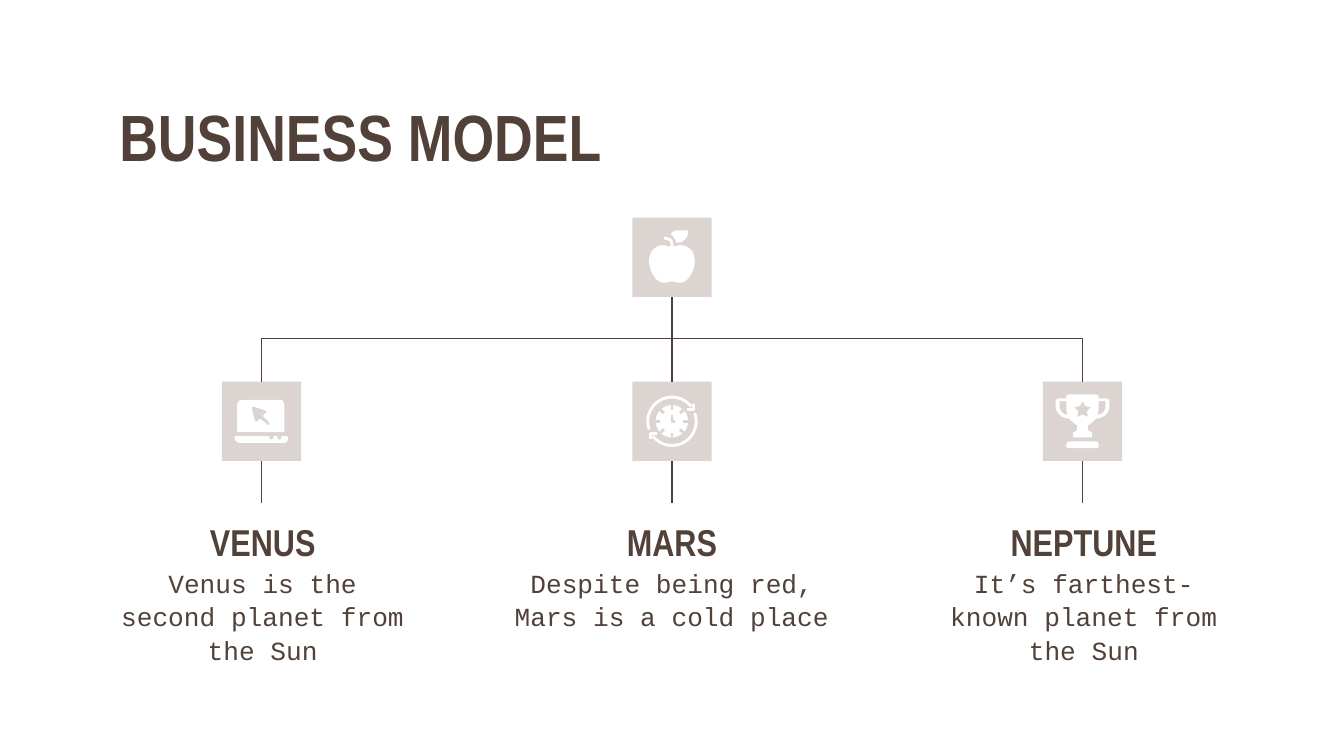
from math import cos, radians, sin

from lxml.etree import SubElement
from pptx import Presentation
from pptx.dml.color import RGBColor
from pptx.enum.shapes import MSO_CONNECTOR as Connector, MSO_SHAPE as Shape
from pptx.enum.text import MSO_ANCHOR as Anchor, PP_ALIGN as Align
from pptx.oxml.ns import qn
from pptx.util import Inches, Pt

BROWN, TILE, WHITE = "514138", "DBD4D1", "FFFFFF"
HEADING_FONT, BODY_FONT = "Arial Narrow", "Courier New"

TILE_SIZE = 5.9
ROOT_X, ROOT_Y = 50, 19.15
BUS_Y, BRANCH_Y, STEM_END = 25.2, 31.35, 37.4


def color(hex_code):
    return RGBColor.from_string(hex_code)


def trace(*steps):
    """Turn points (x, y) and cubic curves (x1, y1, x2, y2, x, y) into a list of points."""
    points = []
    for step in steps:
        if len(step) == 2:
            points.append(step)
            continue
        corners = (points[-1], step[:2], step[2:4], step[4:])
        for i in range(1, 9):
            t = i / 8
            weights = ((1 - t) ** 3, 3 * t * (1 - t) ** 2, 3 * t * t * (1 - t), t ** 3)
            points.append(tuple(sum(w * c[axis] for w, c in zip(weights, corners))
                                for axis in (0, 1)))
    return points


def polar(radius, degrees, y=0):
    return radius * cos(radians(degrees)), y + radius * sin(radians(degrees))


def mirror(points):
    return [(-x, y) for x, y in reversed(points)]


class Deck:
    """Lengths are cells of a grid with 100 columns; icon points are tenths of a cell."""

    def __init__(self):
        self.show = Presentation()
        self.show.slide_width, self.show.slide_height = Inches(10), Inches(5.625)
        self.slide = self.show.slides.add_slide(self.show.slide_layouts[6])
        self.shapes = self.slide.shapes
        self.cell = self.show.slide_width / 100

    def grid(self, *lengths):
        return [round(length * self.cell) for length in lengths]

    def paint(self, shape, fill=None, line=None, width=1.5):
        shape.shadow.inherit = False
        if fill:
            shape.fill.solid()
            shape.fill.fore_color.rgb = color(fill)
        else:
            shape.fill.background()
        if line:
            shape.line.color.rgb = color(line)
            shape.line.width = Pt(width)
        else:
            shape.line.fill.background()

    def tile(self, x, y):
        corner = x - TILE_SIZE / 2, y - TILE_SIZE / 2
        box = self.grid(*corner, TILE_SIZE, TILE_SIZE)
        self.paint(self.shapes.add_shape(Shape.RECTANGLE, *box), TILE)

    def link(self, start, end, elbow=False):
        kind = Connector.ELBOW if elbow else Connector.STRAIGHT
        line = self.shapes.add_connector(kind, *self.grid(*start, *end))
        line.line.color.rgb = color(BROWN)
        line.line.width = Pt(0.75)
        properties = line._element.spPr
        SubElement(properties, qn("a:effectLst"))
        if elbow:  # the bend sits above the end point
            geometry = properties.find(qn("a:prstGeom"))
            adjustments = geometry.find(qn("a:avLst"))
            if adjustments is None:
                adjustments = SubElement(geometry, qn("a:avLst"))
            SubElement(adjustments, qn("a:gd"), name="adj1", fmla="val 100000")

    def outline(self, center, contours, closed=True, **paint):
        placed = [[self.grid(center[0] + x / 10, center[1] + y / 10) for x, y in contour]
                  for contour in contours]
        builder = self.shapes.build_freeform(*placed[0][0], scale=1.0)
        for number, contour in enumerate(placed):
            if number:
                builder.move_to(*contour[0])
            builder.add_line_segments(contour[1:], close=closed)
        self.paint(builder.convert_to_shape(), **paint)

    def text(self, words, box, size, font=HEADING_FONT, bold=True, align=Align.CENTER,
             anchor=Anchor.TOP, spacing=1.06):
        frame = self.shapes.add_textbox(*self.grid(*box)).text_frame
        frame.word_wrap = True
        frame.vertical_anchor = anchor
        frame.margin_left = frame.margin_right = Inches(0.1)
        frame.margin_top = frame.margin_bottom = Inches(0.1)
        paragraph = frame.paragraphs[0]
        paragraph.alignment, paragraph.line_spacing = align, spacing
        run = paragraph.add_run()
        run.text = words
        run.font.name, run.font.size, run.font.bold = font, Pt(size), bold
        run.font.color.rgb = color(BROWN)


def draw_apple(deck, center):
    leaf = trace((4, -20), (2, -20, 0, -19, -1, -17), (1, -16, 3, -13, 3, -11), (4, -11),
                 (9, -11, 12, -15, 12, -19), (12, -20))
    fruit = trace((-5, -15), (-6, -15, -6, -15, -6, -14), (-6, -14, -5, -13, -5, -13),
                  (-3, -13, -1, -12, -1, -10), (-1, -8), (-3, -8, -4, -9, -6, -9),
                  (-13, -9, -17, -4, -17, 3), (-17, 10, -12, 19, -6, 19),
                  (-4, 19, -2, 18, 0, 18), (2, 18, 4, 19, 6, 19),
                  (12, 19, 17, 10, 17, 3), (17, -4, 13, -9, 6, -9),
                  (4, -9, 2, -8, 1, -8), (1, -10), (1, -13, -1, -15, -5, -15))
    for part in (leaf, fruit):
        deck.outline(center, [part], fill=WHITE)


def draw_laptop(deck, center):
    base = trace((-19, 11), (-20, 12), (-20, 14, -18, 16, -16, 16), (17, 16),
                 (19, 16, 20, 14, 20, 12), (19, 11), (15, 11), (15, 12),
                 (15, 14, 12, 14, 12, 12), (12, 11), (9, 11), (9, 12),
                 (9, 14, 6, 14, 6, 12), (6, 11))
    screen = trace((-14, -16), (-17, -16, -18, -14, -18, -12), (-18, 8), (17, 8),
                   (17, -12), (17, -14, 16, -16, 14, -16))
    pointer = trace((-6, -11), (3, -8), (4, -8, 4, -6, 3, -6), (1, -4), (6, 1),
                    (6, 2, 6, 3, 5, 3), (4, 2), (-1, -2), (-3, 0), (-4, 0, -5, 0, -5, -1),
                    (-7, -9), (-7, -10, -7, -11, -6, -11))
    deck.outline(center, [base], fill=WHITE)
    deck.outline(center, [screen, pointer], fill=WHITE)


def draw_clock(deck, center):
    arc = [polar(18, degrees) for degrees in range(-20, 145, 6)]
    arrowhead = [(-11, 9), (-16, 9), (-16, 13)]
    for turn in (1, -1):
        arrow = [[(turn * x, turn * y) for x, y in part] for part in (arc, arrowhead)]
        deck.outline(center, arrow, closed=False, line=WHITE)
    deck.outline(center, [[polar(12, degrees) for degrees in range(0, 360, 6)]], fill=WHITE)
    ticks = [[polar(8.5, degrees), polar(12, degrees)] for degrees in range(0, 360, 45)]
    hands = [(0, -5), (0, 0), (2.5, 0)]
    deck.outline(center, ticks + [hands], closed=False, line=TILE)


def draw_trophy(deck, center):
    foot = trace((-9, 15), (-11, 15, -12, 16, -12, 17), (-12, 19), (-11, 20))
    cup = trace((-10, -20), (-12, -19), (-12, -17), (-18, -17), (-20, -16), (-20, -11),
                (-20, -6, -15, -2, -10, -2), (-8, 0, -6, 2, -4, 3), (-4, 7),
                (-5, 7, -7, 8, -7, 9), (-7, 12))
    handle = trace((17, -15), (17, -11), (17, -8, 15, -5, 11, -5), (12, -8), (12, -15))
    star = [polar((6.5, 3.5)[i % 2], 36 * i - 90, y=-8.5) for i in range(10)]
    deck.outline(center, [foot + mirror(foot)], fill=WHITE)
    deck.outline(center, [cup + mirror(cup), handle, mirror(handle), star], fill=WHITE)


BRANCHES = [
    # column, icon, caption left, caption width, name, description
    (19.45, draw_laptop, 7.9, 23.3, "VENUS", "Venus is the second planet from the Sun"),
    (50, draw_clock, 37.3, 25.4, "MARS", "Despite being red, Mars is a cold place"),
    (80.55, draw_trophy, 69, 23.3, "NEPTUNE", "It’s farthest-known planet from the Sun"),
]


def main():
    deck = Deck()
    half = TILE_SIZE / 2
    deck.text("BUSINESS MODEL", (7.9, 5.9, 69.4, 8.3), 35, align=Align.LEFT,
              anchor=Anchor.MIDDLE, spacing=1)
    deck.tile(ROOT_X, ROOT_Y)
    draw_apple(deck, (ROOT_X, ROOT_Y))
    deck.link((ROOT_X, BUS_Y), (ROOT_X, ROOT_Y + half))
    for x, draw_icon, left, width, name, description in BRANCHES:
        deck.tile(x, BRANCH_Y)
        draw_icon(deck, (x, BRANCH_Y))
        deck.link((ROOT_X, BUS_Y), (x, BRANCH_Y - half), elbow=x != ROOT_X)
        deck.link((x, STEM_END), (x, BRANCH_Y + half))
        deck.text(name, (left, 37.4, width, 4.7), 20)
        deck.text(description, (left, 41.1, width, 6.6), 14, font=BODY_FONT, bold=False)
    deck.show.save("out.pptx")


if __name__ == "__main__":
    main()
